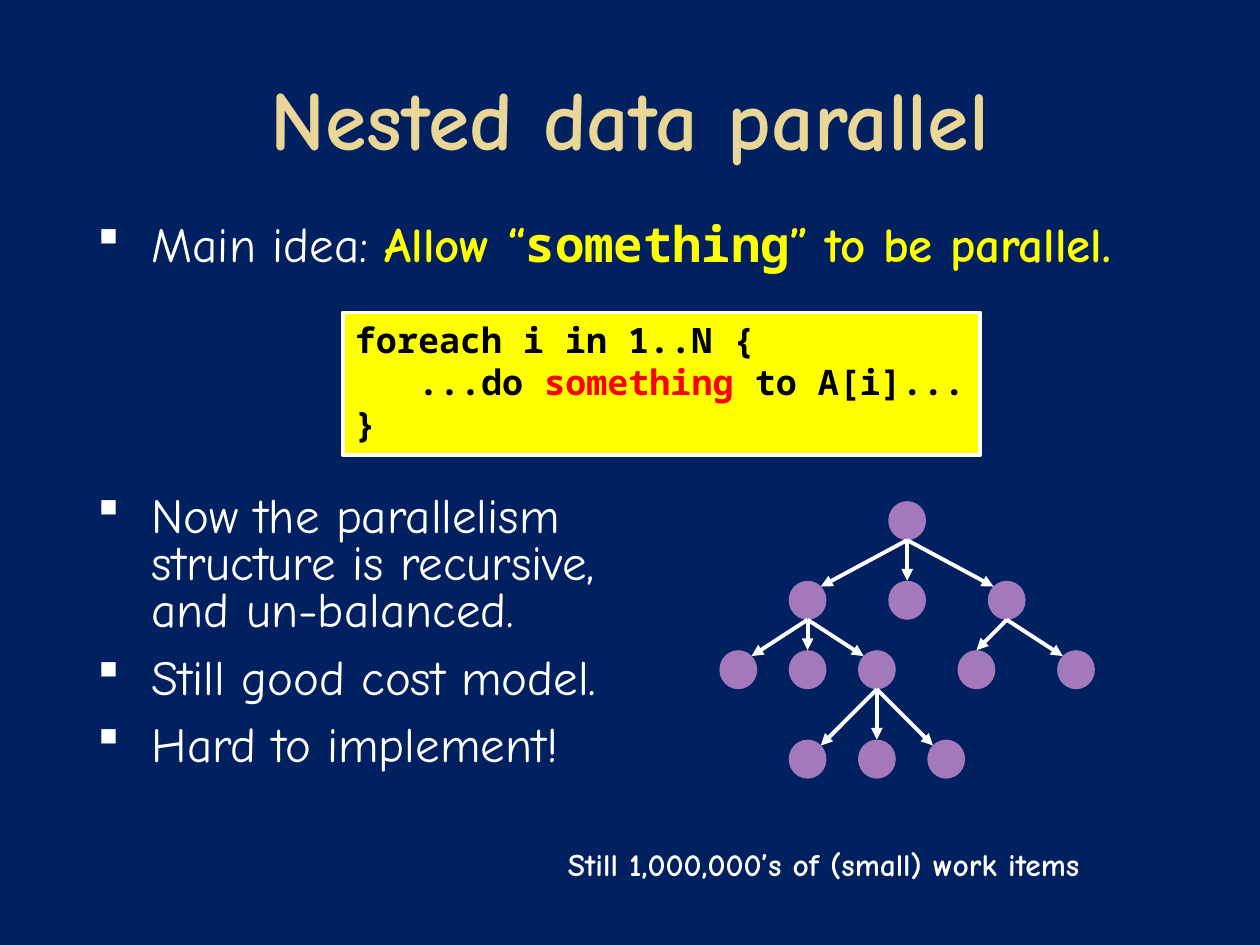
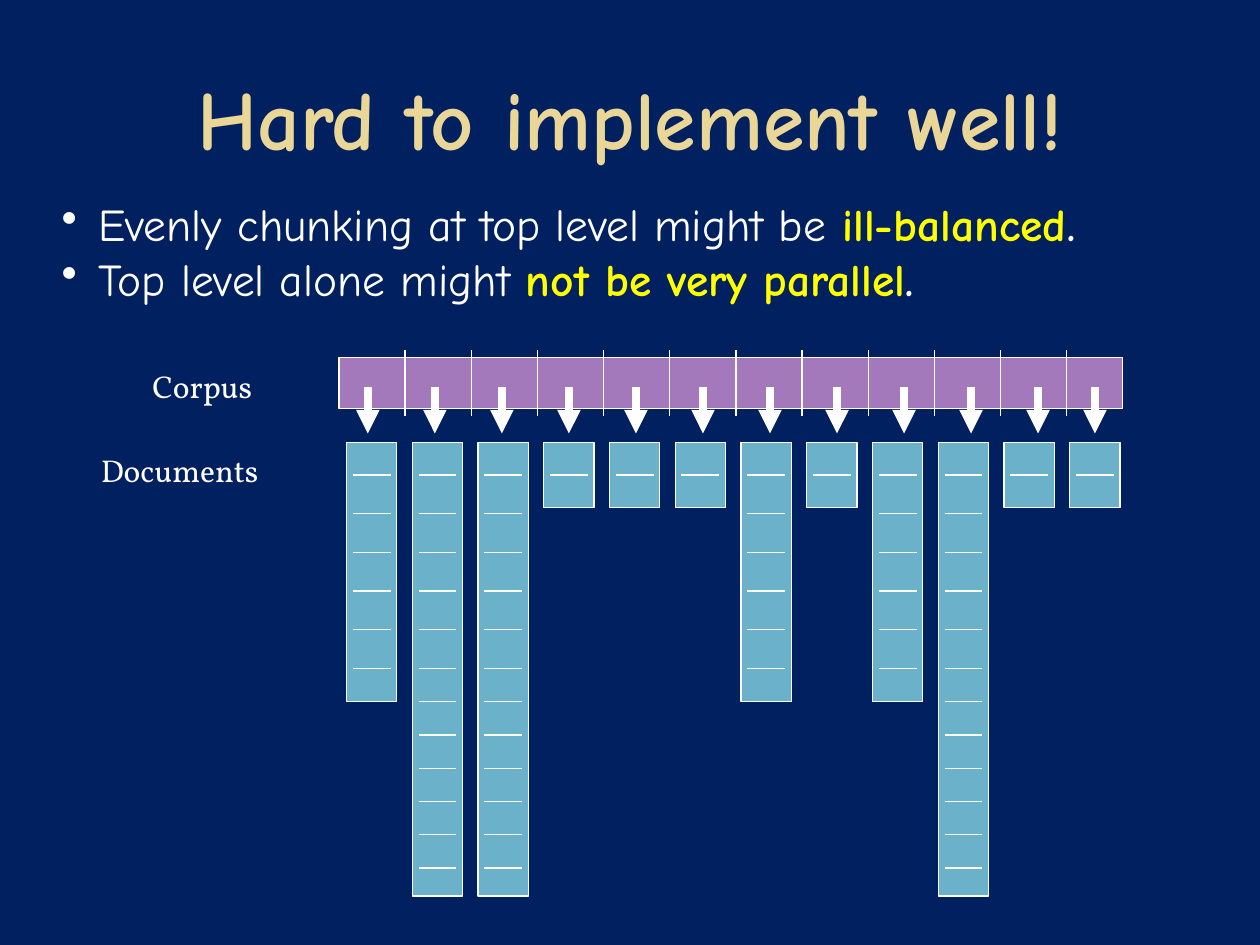
from dataclasses import dataclass

from lxml import etree
from pptx import Presentation
from pptx.dml.color import RGBColor
from pptx.enum.shapes import MSO_CONNECTOR, MSO_SHAPE
from pptx.enum.text import MSO_ANCHOR, PP_ALIGN
from pptx.oxml.ns import qn
from pptx.util import Pt

STRAIGHT = MSO_CONNECTOR.STRAIGHT
RECT, OVAL = MSO_SHAPE.RECTANGLE, MSO_SHAPE.OVAL
TOP, MIDDLE = MSO_ANCHOR.TOP, MSO_ANCHOR.MIDDLE
LEFT, CENTER, RIGHT = PP_ALIGN.LEFT, PP_ALIGN.CENTER, PP_ALIGN.RIGHT


@dataclass(frozen=True)
class Theme:
    navy: str = "002060"
    gold: str = "EAD696"
    white: str = "FFFFFF"
    black: str = "000000"
    yellow: str = "FFFF00"
    red: str = "FF0000"
    purple: str = "A379BB"
    blue: str = "6BB1C9"
    hand: str = "Comic Neue"
    mono: str = "Noto Sans Mono"
    serif: str = "Vollkorn"
    title_size: int = 48
    body_size: int = 28
    point_size: int = 26
    code_size: int = 20
    label_size: int = 18


THEME = Theme()

# ---- Content: a paragraph is a list of (text, format changes) runs ----
STRONG = dict(color=THEME.yellow, bold=True)
STRONG_CODE = dict(STRONG, font=THEME.mono)

NESTED_TITLE = "Nested data parallel"
MAIN_IDEA = [[("Main idea: ", {}), ("Allow “", STRONG),
              ("something", STRONG_CODE), ("” to be parallel.", STRONG)]]
LOOP_CODE = [
    [("foreach i in 1..N {", {})],
    [("   ...do ", {}), ("something", dict(color=THEME.red)), (" to A[i]...", {})],
    [("}", {})],
]
CONSEQUENCES = [
    [("Now the parallelism\nstructure is recursive,\nand un-balanced.", {})],
    [("Still good cost model.", {})],
    [("Hard to implement!", {})],
]
WORK_ITEMS = [[("Still 1,000,000’s of (small) work items", {})]]

# Task tree: centre (x, y) of each node and the key of its parent
TASKS = {
    "root": (518.4, 297.5, None),
    "a": (461.5, 343, "root"),
    "b": (518.4, 343, "root"),
    "c": (575.3, 343, "root"),
    "a1": (421.9, 382.7, "a"),
    "a2": (461.5, 382.7, "a"),
    "a3": (501.1, 382.7, "a"),
    "c1": (558, 382.7, "c"),
    "c2": (614.9, 382.7, "c"),
    "a31": (461.5, 433.8, "a3"),
    "a32": (501.1, 433.8, "a3"),
    "a33": (540.7, 433.8, "a3"),
}

HARD_TITLE = "Hard to implement well!"
PROBLEMS = [
    [("Evenly chunking at top level might be ", {}), ("ill-balanced", STRONG),
     (".", dict(bold=True))],
    [("Top level alone might ", {}), ("not be very parallel", STRONG),
     (".", dict(bold=True))],
]
ROW_LABELS = [("Corpus", (77, 206, 74.2, 28.8)),
              ("Documents", (48.2, 254.2, 106.6, 28.8))]
# Number of dividing lines in each document, and the height that goes with it
DOCUMENT_LINES = [6, 12, 12, 1, 1, 1, 6, 1, 6, 12, 1, 1]
DOCUMENT_HEIGHT = {1: 37.2, 6: 148.2, 12: 259.4}


# ---- Helpers ----
def rgb(colour):
    return RGBColor.from_string(colour)


def write(shape, paragraphs, *, size, font=THEME.hand, color=THEME.white,
          bold=False, align=LEFT, anchor=TOP, wrap=True, bullet=None,
          bullet_font=None, hang=0, line=None, before=0, after=0):
    frame = shape.text_frame
    frame.word_wrap = wrap
    frame.vertical_anchor = anchor
    for index, runs in enumerate(paragraphs):
        para = frame.add_paragraph() if index else frame.paragraphs[0]
        if bullet:
            props = para._p.get_or_add_pPr()
            props.set("marL", str(Pt(hang)))
            props.set("indent", str(-Pt(hang)))
            if bullet_font:
                etree.SubElement(props, qn("a:buFont")).set("typeface", bullet_font)
            etree.SubElement(props, qn("a:buChar")).set("char", bullet)
        para.alignment = align
        para.line_spacing = line
        para.space_before = Pt(before if index else 0)
        para.space_after = Pt(after)
        for text, changes in runs:
            style = dict(font=font, color=color, bold=bold) | changes
            for number, part in enumerate(text.split("\n")):
                if number:
                    para.add_line_break()
                run = para.add_run()
                run.text = part
                run.font.name = style["font"]
                run.font.size = Pt(size)
                run.font.bold = style["bold"]
                run.font.color.rgb = rgb(style["color"])


def add_text(slide, box, paragraphs, **style):
    write(slide.shapes.add_textbox(*map(Pt, box)), paragraphs, **style)


def add_block(slide, kind, box, fill, outline=None):
    block = slide.shapes.add_shape(kind, *map(Pt, box))
    block.shadow.inherit = False
    block.fill.solid()
    block.fill.fore_color.rgb = rgb(fill)
    if outline:
        block.line.color.rgb = rgb(THEME.white)
        block.line.width = Pt(outline)
    else:
        block.line.fill.background()
    return block


def add_line(slide, start, end, width, arrow=False):
    link = slide.shapes.add_connector(STRAIGHT, *map(Pt, (*start, *end)))
    link.line.color.rgb = rgb(THEME.white)
    link.line.width = Pt(width)
    if arrow:
        etree.SubElement(link.line._get_or_add_ln(), qn("a:tailEnd")).set("type", "triangle")
    etree.SubElement(link._element.spPr, qn("a:effectLst"))


def add_slide(prs, title):
    slide = prs.slides.add_slide(prs.slide_layouts[5])
    heading = slide.shapes.title
    heading.left, heading.top, heading.width, heading.height = map(Pt, (36, 30.7, 648, 72))
    write(heading, [[(title, {})]], size=THEME.title_size, color=THEME.gold,
          bold=True, align=CENTER, anchor=MIDDLE)
    return slide


# ---- Slide 1: nested parallelism and its task tree ----
def draw_tree(slide):
    width, height = 21.6, 22.3
    for x, y, _ in TASKS.values():
        add_block(slide, OVAL, (x - width / 2, y - height / 2, width, height), THEME.purple)
    for x, y, parent in TASKS.values():
        if parent is None:
            continue
        parent_x, parent_y, _ = TASKS[parent]
        shift = x - parent_x
        if abs(shift) < width:  # nearly below: arrive at the top of the node
            end = (x, y - height / 2)
        else:  # arrive on the diagonal that faces the parent
            side = -1 if shift > 0 else 1
            end = (x + side * width * 0.35, y - height * 0.35)
        add_line(slide, (parent_x, parent_y + height / 2), end, 2.25, arrow=True)


def build_nested(prs):
    slide = add_slide(prs, NESTED_TITLE)
    bullets = dict(size=THEME.body_size, bullet="§", bullet_font="Wingdings",
                   hang=31, line=0.8, before=5.6, after=6)
    add_text(slide, (48.6, 125, 624, 38), MAIN_IDEA, **bullets)
    add_text(slide, (48.6, 280, 340, 172), CONSEQUENCES, **bullets)
    code = add_block(slide, RECT, (195.8, 178.6, 364.3, 81.4), THEME.yellow, 2.25)
    write(code, LOOP_CODE, size=THEME.code_size, font=THEME.mono,
          color=THEME.black, bold=True, wrap=False)
    draw_tree(slide)
    add_text(slide, (317.5, 479.5, 391.7, 28.8), WORK_ITEMS,
             size=THEME.label_size, bold=True)


# ---- Slide 2: a corpus split into uneven documents ----
def draw_corpus(slide):
    left, top, cell = 193.7, 204.5, 37.8
    add_block(slide, RECT, (left, top, 447.8, 28.8), THEME.purple, 0.75)
    for number in range(1, len(DOCUMENT_LINES)):
        x = left + number * cell
        add_line(slide, (x, top - 4.3), (x, top + 33.1), 0.75)


def draw_documents(slide):
    first, pitch, top, width = 212.4, 37.57, 252.7, 28.8
    arrow_first, arrow_pitch, arrow_last = 210.2, 38.3, 625.7
    for number, lines in enumerate(DOCUMENT_LINES):
        x = first + number * pitch
        add_block(slide, RECT, (x - width / 2, top, width, DOCUMENT_HEIGHT[lines]),
                  THEME.blue, 0.75)
        for row in range(lines):  # wider gaps in the upper part
            y = top + 18.8 + 22.1 * min(row, 5) + 19 * max(row - 5, 0)
            add_line(slide, (x - 10.8, y), (x + 10.8, y), 0.75)
    for number in range(len(DOCUMENT_LINES)):
        x = min(arrow_first + number * arrow_pitch, arrow_last)
        add_line(slide, (x, 221), (x, 247.7), 4.5, arrow=True)


def build_hard(prs):
    slide = add_slide(prs, HARD_TITLE)
    add_text(slide, (28.1, 108.7, 662.4, 70.6), PROBLEMS,
             size=THEME.point_size, bullet="•", hang=20.9)
    draw_corpus(slide)
    draw_documents(slide)
    for label, box in ROW_LABELS:
        add_text(slide, box, [[(label, {})]], size=THEME.label_size,
                 font=THEME.serif, align=RIGHT, wrap=False)


def main():
    prs = Presentation()
    prs.slide_width, prs.slide_height = Pt(720), Pt(540)
    backdrop = prs.slide_master.background.fill
    backdrop.solid()
    backdrop.fore_color.rgb = rgb(THEME.navy)
    build_nested(prs)
    build_hard(prs)
    prs.save("out.pptx")


if __name__ == "__main__":
    main()
